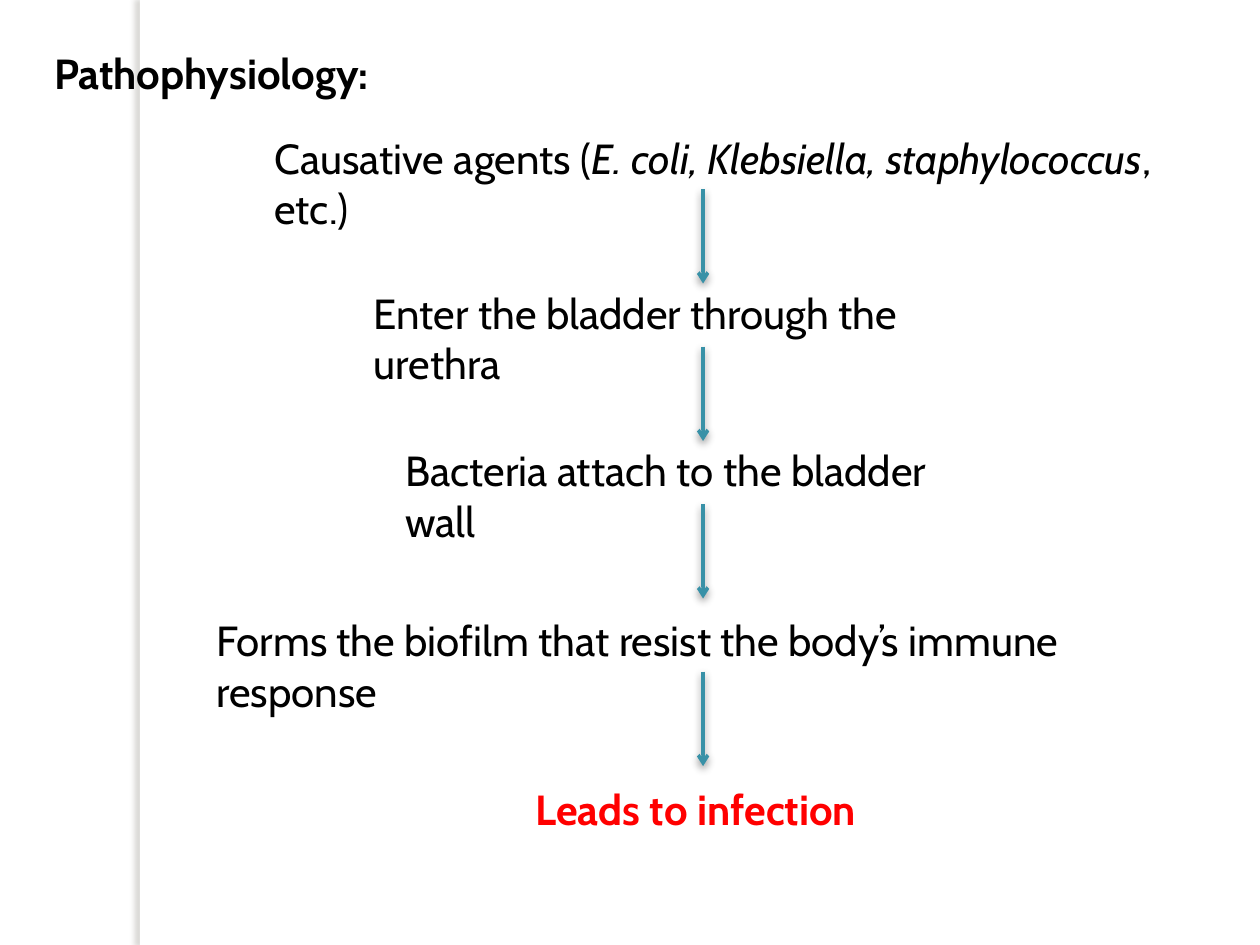
from lxml.etree import SubElement
from pptx import Presentation
from pptx.dml.color import RGBColor
from pptx.enum.shapes import MSO_CONNECTOR, MSO_SHAPE
from pptx.enum.text import MSO_ANCHOR, MSO_AUTO_SIZE, PP_ALIGN
from pptx.oxml.ns import qn
from pptx.util import Inches, Pt

COLORS = {
    "text": "000000",
    "outcome": "FF0000",
    "arrow": "3891A7",
    "arrow_shadow": "000000",
    "panel": "FFFFFF",
    "panel_shadow": "736F63",
}
FONT = "Cabin"
TEXT_HEIGHT = 0.5
ARROW_X = 5.58
ARROW_LENGTH = 0.75

# left, top, width, runs as (text, italic)
STEPS = [
    (2.08, 1, 7.38, [("Causative agents (", False),
                     ("E. coli, Klebsiella, staphylococcus", True),
                     (", etc.)", False)]),
    (2.87, 2.23, 5.4, [("Enter the bladder through the urethra", False)]),
    (3.12, 3.48, 4.89, [("Bacteria attach to the bladder wall", False)]),
    (1.62, 4.83, 8.05, [("Forms the biofilm that resist the body’s immune response", False)]),
]
OUTCOME = (4.15, 6.17, 3, [("Leads to infection", False)])
ARROW_TOPS = [1.5, 2.75, 4, 5.33]


def rgb(name):
    return RGBColor.from_string(COLORS[name])


def add_shadow(shape, color, opacity, blur, distance, angle):
    """Opacity in percent, blur and distance in points, angle in degrees."""
    effects = SubElement(shape._element.spPr, qn("a:effectLst"))
    shadow = SubElement(effects, qn("a:outerShdw"), blurRad=str(Pt(blur)),
                        dist=str(Pt(distance)), dir=str(angle * 60000),
                        algn="ctr", rotWithShape="0")
    tint = SubElement(shadow, qn("a:srgbClr"), val=COLORS[color])
    SubElement(tint, qn("a:alpha"), val=str(opacity * 1000))


def add_panel_edge(slide):
    edge = slide.shapes.add_shape(MSO_SHAPE.RECTANGLE, Inches(1.11), 0,
                                  Inches(0.08), Inches(7.5))
    edge.fill.solid()
    edge.fill.fore_color.rgb = rgb("panel")
    edge.line.fill.background()
    add_shadow(edge, "panel_shadow", 25, 3, 3, 180)


def style_run(run, color, bold, italic=False):
    run.font.name = FONT
    run.font.size = Pt(24)
    run.font.bold = bold
    run.font.italic = italic
    run.font.color.rgb = rgb(color)


def set_heading(slide, text):
    heading = slide.shapes.title
    heading.left, heading.top = Inches(0.33), Inches(0.33)
    heading.width, heading.height = Inches(2.85), Inches(TEXT_HEIGHT)
    frame = heading.text_frame
    frame.text = text
    frame.word_wrap = True
    frame.auto_size = MSO_AUTO_SIZE.SHAPE_TO_FIT_TEXT
    frame.vertical_anchor = MSO_ANCHOR.TOP
    paragraph = frame.paragraphs[0]
    paragraph.alignment = PP_ALIGN.LEFT
    style_run(paragraph.runs[0], "text", bold=True)


def add_step(slide, left, top, width, parts, color="text", bold=False):
    step = slide.shapes.add_textbox(Inches(left), Inches(top),
                                    Inches(width), Inches(TEXT_HEIGHT))
    frame = step.text_frame
    frame.word_wrap = True
    frame.auto_size = MSO_AUTO_SIZE.SHAPE_TO_FIT_TEXT
    for text, italic in parts:
        run = frame.paragraphs[0].add_run()
        run.text = text
        style_run(run, color, bold, italic)


def add_down_arrow(slide, top):
    arrow = slide.shapes.add_connector(
        MSO_CONNECTOR.STRAIGHT, Inches(ARROW_X), Inches(top),
        Inches(ARROW_X), Inches(top + ARROW_LENGTH))
    arrow.line.color.rgb = rgb("arrow")
    arrow.line.width = Pt(2)
    SubElement(arrow._element.spPr.find(qn("a:ln")), qn("a:tailEnd"), type="arrow")
    add_shadow(arrow, "arrow_shadow", 43, 5, 2, 90)


def main():
    prs = Presentation()
    prs.slide_width, prs.slide_height = Inches(10), Inches(7.5)
    slide = prs.slides.add_slide(prs.slide_layouts[5])

    add_panel_edge(slide)
    # The heading overlaps the panel edge, so the edge goes to the back.
    slide.shapes.title._element.addprevious(slide.shapes[-1]._element)
    set_heading(slide, "Pathophysiology:")
    for step in STEPS:
        add_step(slide, *step)
    add_step(slide, *OUTCOME, color="outcome", bold=True)
    for top in ARROW_TOPS:
        add_down_arrow(slide, top)

    prs.save("out.pptx")


if __name__ == "__main__":
    main()
